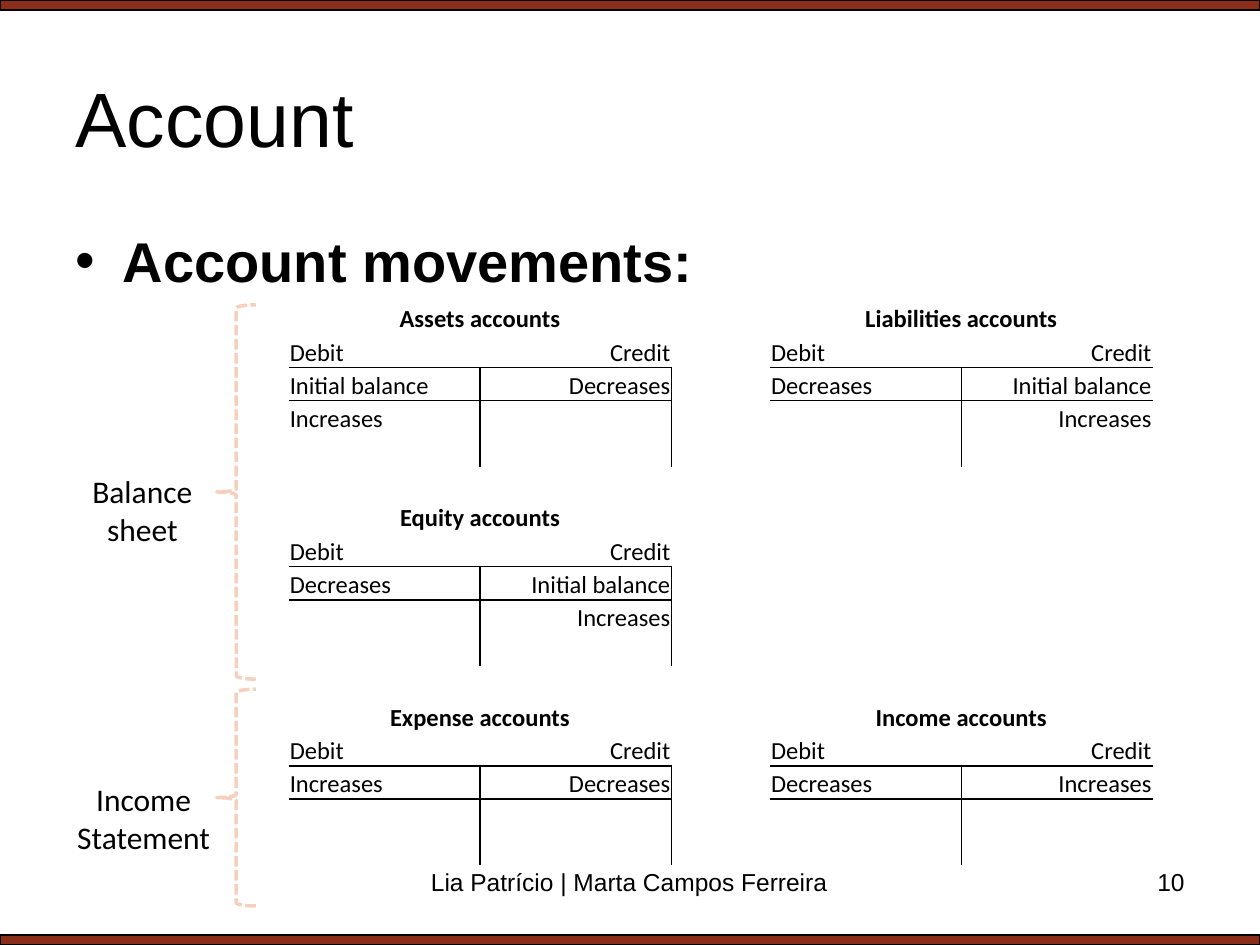
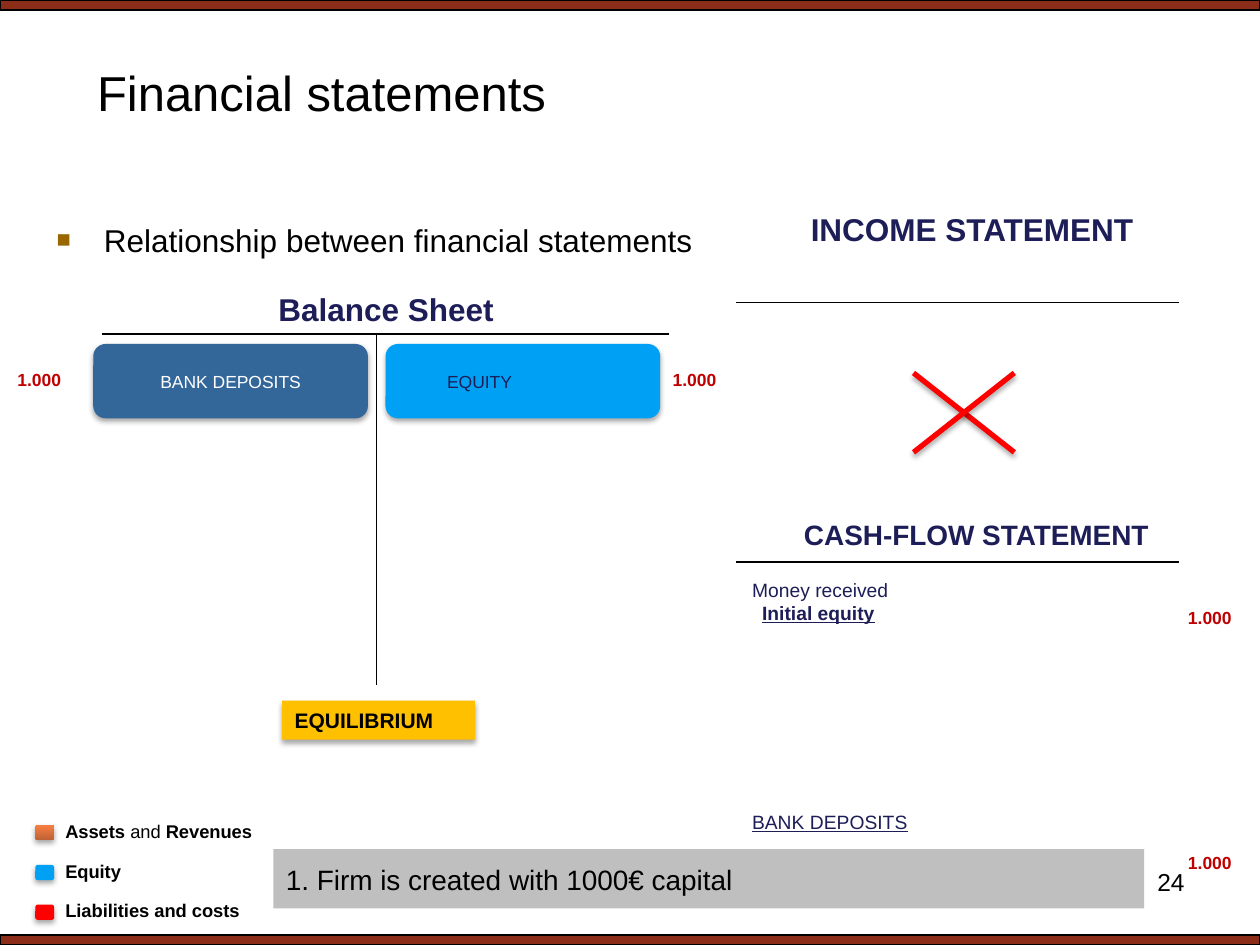
from lxml.etree import SubElement
from pptx import Presentation
from pptx.dml.color import RGBColor
from pptx.enum.dml import MSO_LINE
from pptx.enum.shapes import MSO_CONNECTOR, MSO_SHAPE
from pptx.enum.text import MSO_ANCHOR, PP_ALIGN
from pptx.oxml.ns import qn
from pptx.util import Inches, Pt


class Theme:
    """Colours, fonts and type sizes of the deck."""
    black, white, band, brace = "000000", "FFFFFF", "8C2D19", "F5D0BE"
    navy, red, dark, gold = "1D1D58", "FF0000", "C00000", "FFC000"
    blue, steel, grey, bullet = "00A1F4", "336699", "BFBFBF", "996600"
    ember, flame = "BC6235", "F97E42"
    sans, plain = "Arial", "Calibri"
    title, head, body, label, cash = 44, 28, 32, 18, 16
    note, tag, item, key, small = 14, 12, 11, 10.5, 10


CELL = Inches(0.1)      # the slide is a grid of 100 columns and 75 rows
LEFT, MID, RIGHT = PP_ALIGN.LEFT, PP_ALIGN.CENTER, PP_ALIGN.RIGHT
CARD = MSO_SHAPE.FLOWCHART_ALTERNATE_PROCESS


def add(page, kind, spot, fill=None, edge=None, width=0.75, cast=False):
    """Add a text box, a line (x1, y1, x2, y2) or a shape, measured in cells."""
    place = [round(v * CELL) for v in spot]
    if kind == "text":
        return page.shapes.add_textbox(*place)
    if kind == "line":
        item = page.shapes.add_connector(MSO_CONNECTOR.STRAIGHT, *place)
    else:
        item = page.shapes.add_shape(kind, *place)
        item.fill.solid()
        item.fill.fore_color.rgb = RGBColor.from_string(fill)
    if edge:
        item.line.color.rgb = RGBColor.from_string(edge)
        item.line.width = Pt(width)
    else:
        item.line.fill.background()
    glow = SubElement(item.element.spPr, qn("a:effectLst"))
    if cast:
        drop = SubElement(glow, qn("a:outerShdw"), blurRad=str(Pt(3.1)),
                          dist=str(Pt(1.8)), dir="5400000", rotWithShape="0")
        tint = SubElement(drop, qn("a:srgbClr"), val=Theme.black)
        SubElement(tint, qn("a:alpha"), val="35000")
    return item


def write(frame, rows, size, color=Theme.black, face=Theme.sans, align=LEFT,
          bold=False, anchor=MSO_ANCHOR.TOP, wrap=True):
    """Fill a frame with rows; a row is a text or a list of (text, format)."""
    frame.word_wrap, frame.vertical_anchor = wrap, anchor
    for n, row in enumerate(rows):
        para = frame.add_paragraph() if n else frame.paragraphs[0]
        para.alignment = align
        for text, extra in [(row, {})] if isinstance(row, str) else row:
            run = para.add_run()
            run.text = text
            look = {"name": face, "size": Pt(size), "bold": bold, **extra}
            for name, value in look.items():
                setattr(run.font, name, value)
            run.font.color.rgb = RGBColor.from_string(color)


deck = Presentation()
deck.slide_width, deck.slide_height = 100 * CELL, 75 * CELL
plan = deck.slide_layouts[1]
pages = []
for name, size, spot, point, big, bold, area, number in [
        ("Account", Theme.title, (5, 3, 90, 12.5), "Account movements:",
         Theme.body, True, (5, 17.5, 90, 49.5), "10"),
        ("Financial statements", Theme.head, (6.7, 2.9, 89.3, 8.8),
         "Relationship between financial statements",
         Theme.label, False, (3.5, 17, 93.9, 47.6), "24")]:
    page = deck.slides.add_slide(plan)
    pages.append(page)
    title, body = page.placeholders
    for item, box in ((title, spot), (body, area)):
        item.left, item.top, item.width, item.height = [round(v * CELL) for v in box]
    write(title.text_frame, [name], size, anchor=MSO_ANCHOR.MIDDLE)
    write(body.text_frame, [point], big, bold=bold)
    write(add(page, "text", (71.7, 68.3, 23.3, 5.2)).text_frame,
          [number], Theme.note, align=RIGHT)
first, second = pages

# Bands belong to the master, behind everything
for top in (0, 74.2):
    band = add(first, MSO_SHAPE.RECTANGLE, (0, top, 100, 0.8), Theme.band, Theme.black)
    deck.slide_master.shapes.element.insert(2, band.element)

# Slide 1: T accounts in one table
wide = (15.2, 15.2, 7.8, 15.2, 15.2)
grid = first.shapes.add_table(17, 5, round(22.9 * CELL), round(23.9 * CELL),
                              round(sum(wide) * CELL), round(44.8 * CELL)).table
style = grid._tbl.tblPr
style.find(qn("a:tableStyleId")).text = "{2D5ABB26-0587-4C30-8999-92F81FD0307C}"
grid.first_row = grid.horz_banding = False
for col, size in zip(grid.columns, wide):
    col.width = round(size * CELL)

words, edges = {}, {}
for top, left, name, debit, credit in [
        (0, 0, "Assets", ["Initial balance", "Increases"], ["Decreases"]),
        (0, 3, "Liabilities", ["Decreases"], ["Initial balance", "Increases"]),
        (6, 0, "Equity", ["Decreases"], ["Initial balance", "Increases"]),
        (12, 0, "Expense", ["Increases"], ["Decreases"]),
        (12, 3, "Income", ["Decreases"], ["Increases"])]:
    grid.cell(top, left).merge(grid.cell(top, left + 1))
    words[top, left] = (f"{name} accounts", MID, True)
    for side, (head, rows, align) in enumerate(
            [("Debit", debit, LEFT), ("Credit", credit, RIGHT)]):
        for n, text in enumerate([head] + rows, 1):
            words[top + n, left + side] = (text, align, False)
        stem = "RL"[side]
        edges[top + 1, left + side] = "B"
        edges[top + 2, left + side] = stem + "T"
        edges[top + 3, left + side] = edges[top + 4, left + side] = stem

for r in range(17):
    for c in range(5):
        cell = grid.cell(r, c)
        cell.margin_left = cell.margin_right = cell.margin_top = Inches(0.01)
        cell.margin_bottom = 0
        cell.vertical_anchor = MSO_ANCHOR.BOTTOM
        if (r, c) in words:
            text, align, bold = words[r, c]
            write(cell.text_frame, [text], Theme.note, face=Theme.plain,
                  align=align, bold=bold, anchor=MSO_ANCHOR.BOTTOM)
        else:
            SubElement(cell.text_frame.paragraphs[0]._p, qn("a:endParaRPr"),
                       sz=str(Theme.note * 100))
        for side in edges.get((r, c), ""):
            rule = SubElement(cell._tc.get_or_add_tcPr(), qn(f"a:ln{side}"), w=str(Pt(1)))
            SubElement(SubElement(rule, qn("a:solidFill")), qn("a:srgbClr"),
                       val=Theme.black)

for top, tall, spot, rows in [
        (24.2, 29.7, (6.3, 37, 10, 7.1), ["Balance", "sheet"]),
        (54.7, 17.2, (5, 61.4, 12.8, 7.1), ["Income", "Statement"])]:
    brace = add(first, MSO_SHAPE.LEFT_BRACE, (17.2, top, 3.1, tall),
                Theme.white, Theme.brace, 2)
    brace.line.dash_style = MSO_LINE.SQUARE_DOT
    write(add(first, "text", spot).text_frame, rows, Theme.label,
          face=Theme.plain, align=MID, wrap=False)
write(add(first, "text", (32.6, 68.3, 34.7, 5.2)).text_frame,
      ["Lia Patrício | Marta Campos Ferreira"], Theme.note, align=MID)

# Slide 2: square bullet
point = second.placeholders[1].text_frame.paragraphs[0]._p.get_or_add_pPr()
SubElement(SubElement(point, qn("a:buClr")), qn("a:srgbClr"), val=Theme.bullet)
SubElement(point, qn("a:buSzPct"), val="75000")
SubElement(point, qn("a:buFont"), typeface=Theme.sans)
SubElement(point, qn("a:buChar"), char="■")

# Rules of the three statements, then the red cross
for spot in [(8.1, 26.5, 53.1, 26.5), (29.9, 26.5, 29.9, 54.4),
             (58.4, 24, 93.6, 24), (58.4, 44.6, 93.6, 44.6)]:
    add(second, "line", spot, edge=Theme.black)
for start, end in ((72.5, 80.5), (80.5, 72.5)):
    add(second, "line", (start, 29.6, end, 35.9), edge=Theme.red, width=3, cast=True)

for text, spot, size in [
        ("Balance Sheet", (19, 22.5, 23.3, 4), Theme.label),
        ("INCOME STATEMENT", (61.8, 16.2, 30.7, 7.1), Theme.label),
        ("CASH-FLOW STATEMENT", (60.2, 40.6, 34.6, 3.7), Theme.cash)]:
    write(add(second, "text", spot).text_frame, [text], size, Theme.navy,
          align=MID, bold=True)

for text, kind, spot, fill, size, color, align, bold, cast, inset in [
        ("EQUITY", CARD, (30.6, 27.3, 21.8, 5.9), Theme.blue,
         Theme.small, Theme.navy, LEFT, False, True, 4.6),
        ("BANK DEPOSITS", CARD, (7.4, 27.3, 21.8, 5.9), Theme.steel,
         Theme.small, Theme.white, MID, False, True, 1),
        ("EQUILIBRIUM", MSO_SHAPE.RECTANGLE, (22.4, 55.6, 15.3, 3.1), Theme.gold,
         Theme.tag, Theme.black, LEFT, True, True, 1),
        ("1. Firm is created with 1000€ capital", MSO_SHAPE.RECTANGLE,
         (21.7, 67.4, 69.1, 4.7), Theme.grey,
         Theme.cash, Theme.black, LEFT, False, False, 1)]:
    box = add(second, kind, spot, fill, cast=cast)
    box.text_frame.margin_left = round(inset * CELL)
    write(box.text_frame, [text], size, color, align=align, bold=bold,
          anchor=MSO_ANCHOR.MIDDLE)

flow = add(second, "text", (58.7, 45.4, 34.9, 21)).text_frame
write(flow, ["Money received",
             [("Initial equity", {"bold": True, "underline": True})],
             [("BANK DEPOSITS", {"underline": True})]], Theme.item, Theme.navy)
flow.paragraphs[1]._p.get_or_add_pPr().set("marL", str(Inches(0.08)))
flow.paragraphs[2].space_before = Pt(106)

# Legend
strong = {"bold": True}
for n, (fill, row) in enumerate([
        (Theme.flame, [("Assets ", strong), ("and ", {}), ("Revenues", strong)]),
        (Theme.blue, [("Equity", strong)]),
        (Theme.red, [("Liabilities and costs", strong)])]):
    top = 64.6 + 3.15 * n
    chip = add(second, CARD, (2.8, top + 0.9, 1.5, 1.2), fill, cast=True)
    if n == 0:
        chip.fill.gradient()
        chip.fill.gradient_angle = 90
        for stop, tint in zip(chip.fill.gradient_stops, (Theme.ember, Theme.flame)):
            stop.color.rgb = RGBColor.from_string(tint)
    write(add(second, "text", (4.2, top, 39.3, 2.8)).text_frame, [row], Theme.key)

for left, top in ((0.4, 28.8), (52.4, 28.8), (93.3, 47.7), (93.3, 67.1)):
    write(add(second, "text", (left, top, 7.9, 2.7)).text_frame, ["1.000"],
          Theme.small, Theme.dark, bold=True)

deck.save("out.pptx")
